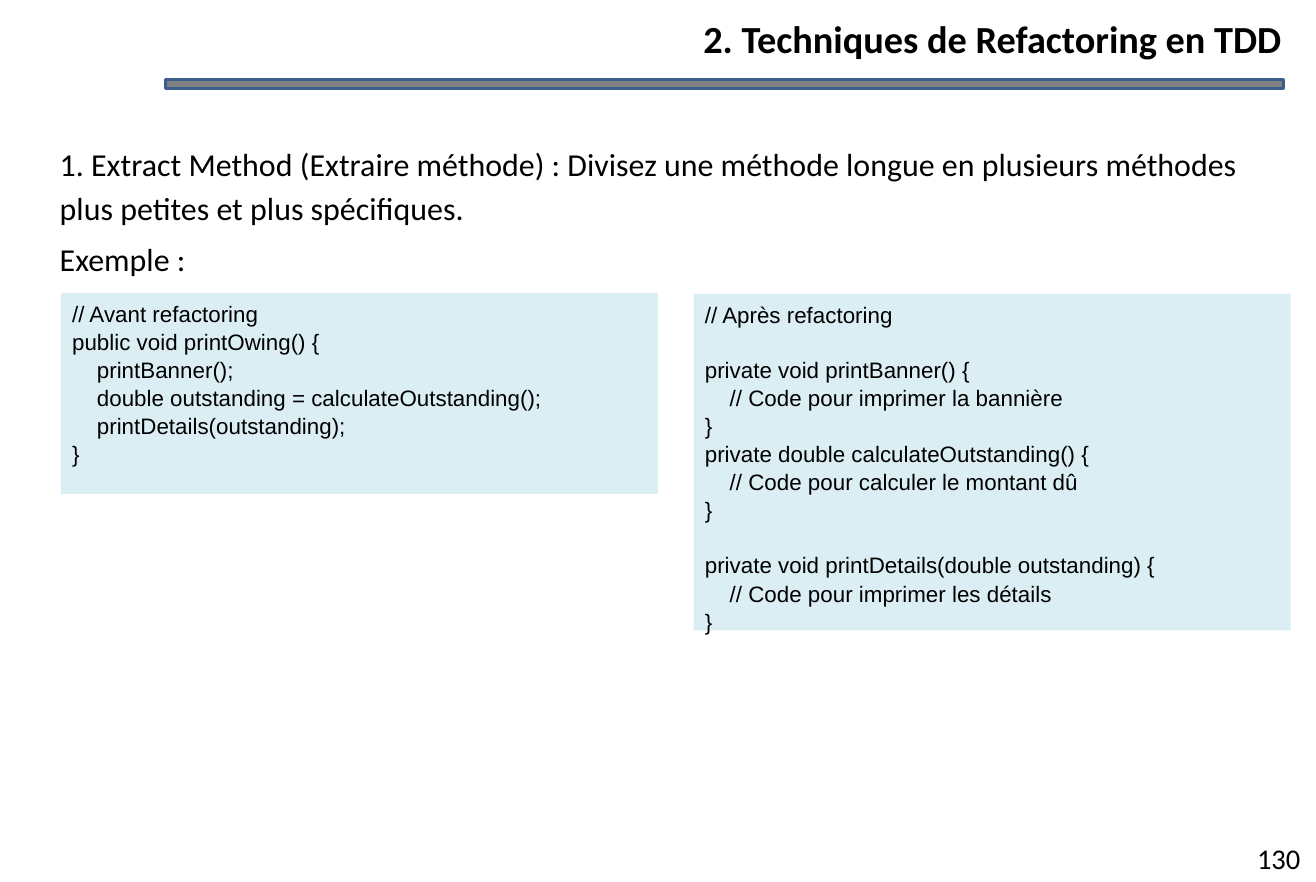
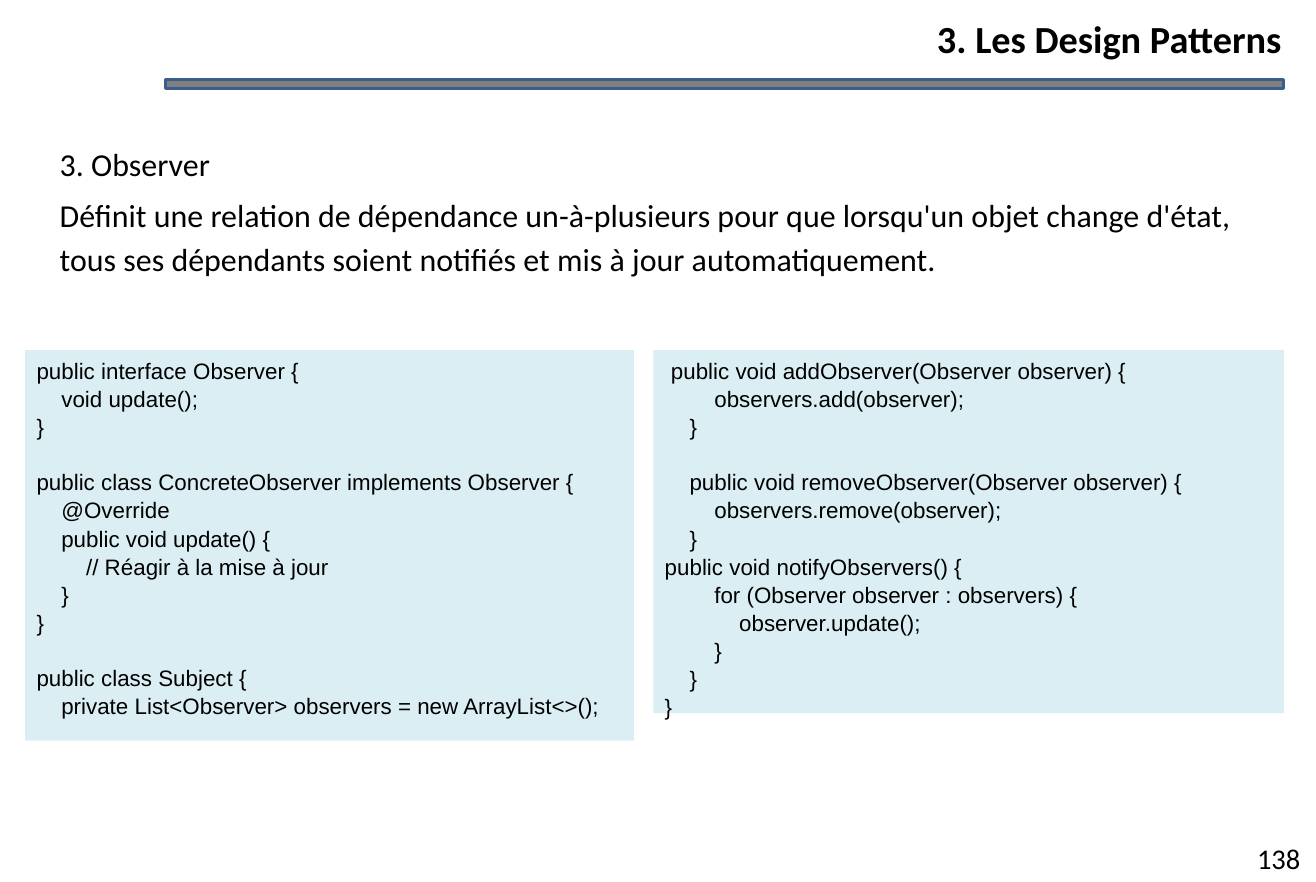
import dataclasses

import pptx
import pptx.dml.color
import pptx.enum.shapes
import pptx.enum.text
import pptx.util

# Content: code boxes are (left, top, width, height, source)
PAGES = [
    {
        "title": "2. Techniques de Refactoring en TDD",
        "number": "130",
        "body": [
            "1. Extract Method (Extraire méthode) : Divisez une méthode longue "
            "en plusieurs méthodes plus petites et plus spécifiques.",
            "Exemple :",
        ],
        "code": [
            (53, 255, 520, 175, """\
// Avant refactoring
public void printOwing() {
    printBanner();
    double outstanding = calculateOutstanding();
    printDetails(outstanding);
}"""),
            (604, 256, 520, 293, """\
// Après refactoring

private void printBanner() {
    // Code pour imprimer la bannière
}
private double calculateOutstanding() {
    // Code pour calculer le montant dû
}

private void printDetails(double outstanding) {
    // Code pour imprimer les détails
}"""),
        ],
    },
    {
        "title": "3. Les Design Patterns",
        "number": "138",
        "body": [
            "3. Observer",
            "Définit une relation de dépendance un-à-plusieurs pour que lorsqu'un "
            "objet change d'état, tous ses dépendants soient notifiés et mis à "
            "jour automatiquement.",
        ],
        "code": [
            (22, 305, 530, 340, """\
public interface Observer {
    void update();
}

public class ConcreteObserver implements Observer {
    @Override
    public void update() {
        // Réagir à la mise à jour
    }
}

public class Subject {
    private List<Observer> observers = new ArrayList<>();"""),
            (569, 305, 549, 316, """\
 public void addObserver(Observer observer) {
        observers.add(observer);
    }

    public void removeObserver(Observer observer) {
        observers.remove(observer);
    }
public void notifyObservers() {
        for (Observer observer : observers) {
            observer.update();
        }
    }
}"""),
        ],
    },
]


def color(code):
    return pptx.dml.color.RGBColor.from_string(code)


@dataclasses.dataclass(frozen=True)
class Theme:
    ink = color("000000")
    band = color("808080")
    band_edge = color("3A5F8C")
    code_fill = color("DBEEF4")
    text_font = "Calibri"
    code_font = "Arial"
    title_size = 24
    body_size = 20
    number_size = 17.9
    code_size = 14
    body_spacing = 1.15
    body_gap = 4.5
    code_spacing = 1.05
    code_line = 16.9


THEME = Theme()
ALIGN = pptx.enum.text.PP_ALIGN
EMU_PER_PX = 9144  # 100 px to the inch


def px(*lengths):
    return [pptx.util.Emu(length * EMU_PER_PX) for length in lengths]


def add_text(page, place, lines, size, font=THEME.text_font, bold=False,
             align=ALIGN.LEFT, spacing=None, gaps=None):
    """Text box with one paragraph a line; gaps are points before each."""
    box = page.shapes.add_textbox(*px(*place))
    frame = box.text_frame
    frame.word_wrap = True
    for index, line in enumerate(lines):
        para = frame.add_paragraph() if index else frame.paragraphs[0]
        para.text = line
        para.alignment = align
        if spacing:
            para.line_spacing = spacing
        if gaps and gaps[index]:
            para.space_before = pptx.util.Pt(gaps[index])
        para.font.name = font
        para.font.size = pptx.util.Pt(size)
        para.font.bold = bold
        para.font.color.rgb = THEME.ink
    return box


def add_frame(page, title, number):
    """Band, title and page number shared by all pages."""
    band = page.shapes.add_shape(
        pptx.enum.shapes.MSO_SHAPE.RECTANGLE, *px(144, 69, 974, 8))
    band.shadow.inherit = False
    band.fill.solid()
    band.fill.fore_color.rgb = THEME.band
    band.line.color.rgb = THEME.band_edge
    band.line.width = pptx.util.Pt(2)

    heading = add_text(page, (195, 13, 921, 40), [title], THEME.title_size,
                       bold=True, align=ALIGN.RIGHT).text_frame
    heading.margin_left = heading.margin_right = 0
    heading.margin_top = heading.margin_bottom = 0
    add_text(page, (1081, 727, 65, 41), [number], THEME.number_size,
             align=ALIGN.CENTER)


def add_body(page, lines):
    gaps = [0] + [THEME.body_gap] * (len(lines) - 1)
    box = add_text(page, (22, 116, 1102, 130), lines, THEME.body_size,
                   spacing=THEME.body_spacing, gaps=gaps)
    # Inner margin of 10 px plus the indent of 20 px
    box.text_frame.margin_left = px(30)[0]


def add_code(page, place, source):
    """Code box; an empty source line becomes space before the next line."""
    lines, gaps, gap = [], [], 0
    for line in source.split("\n"):
        if not line:
            gap += THEME.code_line
            continue
        lines.append(line)
        gaps.append(gap)
        gap = 0
    box = add_text(page, place, lines, THEME.code_size, THEME.code_font,
                   spacing=THEME.code_spacing, gaps=gaps)
    box.fill.solid()
    box.fill.fore_color.rgb = THEME.code_fill


def main():
    deck = pptx.Presentation()
    deck.slide_width, deck.slide_height = px(1146, 768)
    for content in PAGES:
        page = deck.slides.add_slide(deck.slide_layouts[6])
        add_frame(page, content["title"], content["number"])
        add_body(page, content["body"])
        for *place, source in content["code"]:
            add_code(page, place, source)
    deck.save("out.pptx")


if __name__ == "__main__":
    main()
